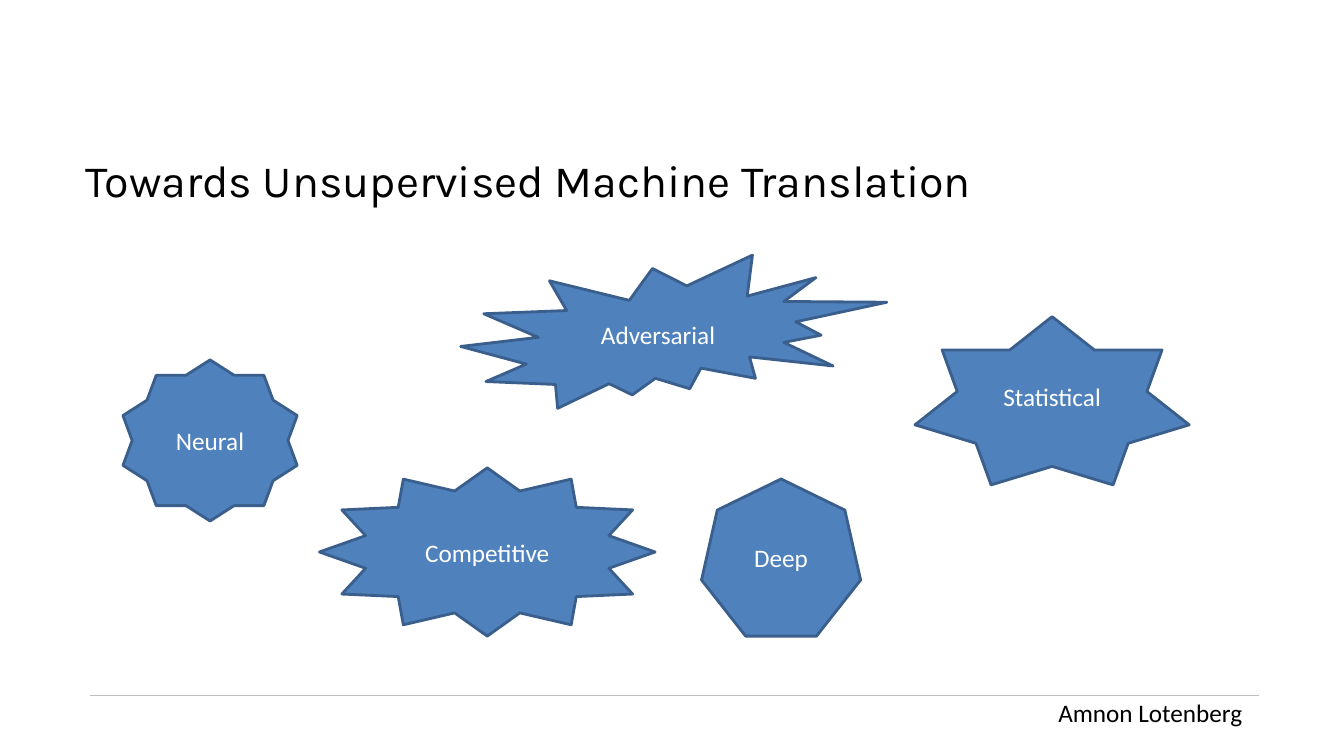
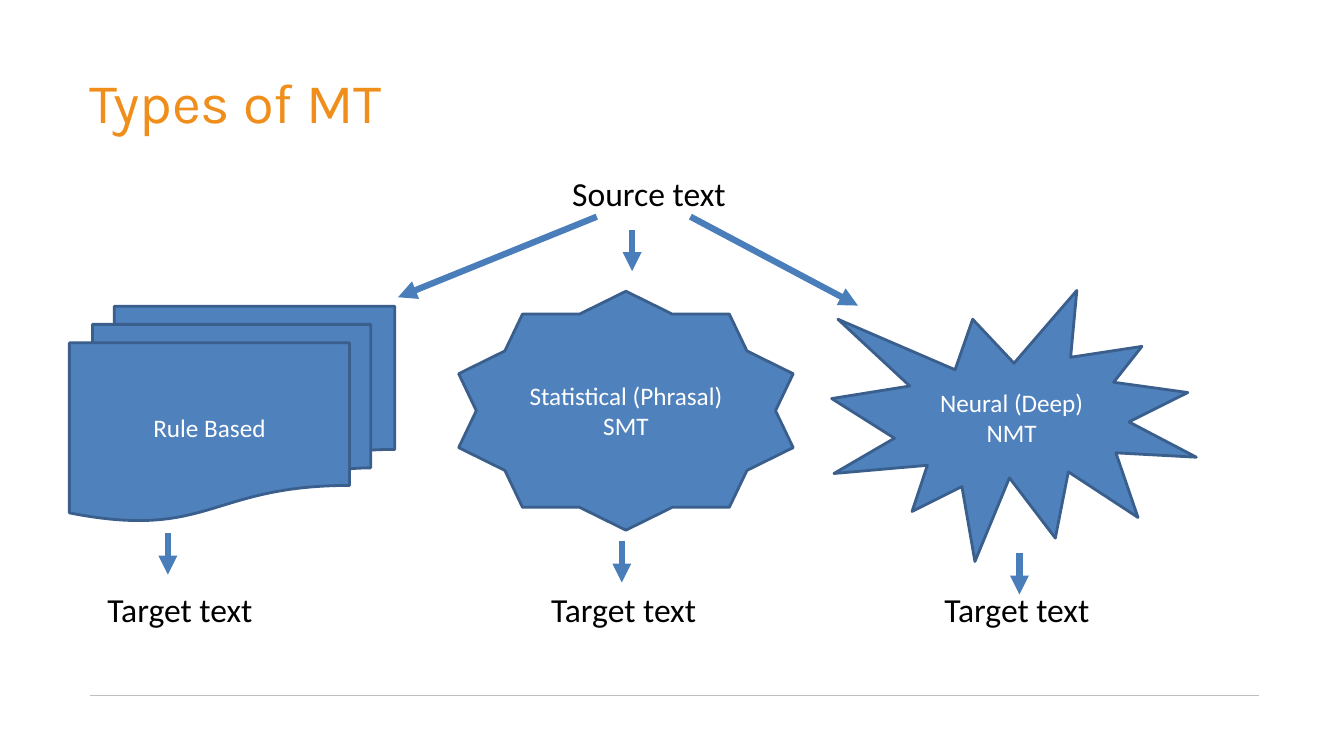
"""Build two slides on unsupervised machine translation."""
from dataclasses import dataclass

from lxml import etree
from pptx import Presentation
from pptx.dml.color import RGBColor
from pptx.enum.shapes import MSO_CONNECTOR, MSO_SHAPE
from pptx.enum.text import MSO_ANCHOR, PP_ALIGN
from pptx.oxml.ns import qn
from pptx.slide import Slide
from pptx.text.text import TextFrame
from pptx.util import Cm, Pt

STRAIGHT = MSO_CONNECTOR.STRAIGHT
TOP, MIDDLE, BOTTOM = MSO_ANCHOR.TOP, MSO_ANCHOR.MIDDLE, MSO_ANCHOR.BOTTOM
LEFT, CENTER = PP_ALIGN.LEFT, PP_ALIGN.CENTER
HEPTAGON = MSO_SHAPE.HEPTAGON
STAR_7 = MSO_SHAPE.STAR_7_POINT
STAR_10 = MSO_SHAPE.STAR_10_POINT
STAR_12 = MSO_SHAPE.STAR_12_POINT
BURST_1, BURST_2 = MSO_SHAPE.EXPLOSION1, MSO_SHAPE.EXPLOSION2
PAPERS = MSO_SHAPE.FLOWCHART_MULTIDOCUMENT


@dataclass(frozen=True)
class Style:
    font: str
    size: float
    color: str


@dataclass(frozen=True)
class Theme:
    cover: Style = Style("Karla", 32, "000000")
    title: Style = Style("Karla", 40, "F08E1B")
    label: Style = Style("Calibri", 18, "FFFFFF")
    name: Style = Style("Calibri", 18, "000000")
    flow: Style = Style("Calibri", 24, "000000")
    fill: str = "4F81BD"
    edge: str = "3A5F8C"
    edge_width: float = 2
    arrow: str = "4A7EBB"
    arrow_width: float = 4.5
    rule: str = "BFBFBF"
    rule_width: float = 0.75


THEME = Theme()


@dataclass(frozen=True)
class Box:
    left: float
    top: float
    width: float
    height: float

    def lengths(self) -> tuple[Cm, Cm, Cm, Cm]:
        return Cm(self.left), Cm(self.top), Cm(self.width), Cm(self.height)


@dataclass(frozen=True)
class Badge:
    kind: MSO_SHAPE
    box: Box
    lines: tuple[str, ...]


@dataclass(frozen=True)
class Line:
    x1: float
    y1: float
    x2: float
    y2: float


BUZZ = (
    Badge(HEPTAGON, Box(17.68, 12.07, 4.01, 3.96), ("Deep",)),
    Badge(BURST_2, Box(11.61, 6.43, 10.74, 3.86), ("Adversarial",)),
    Badge(STAR_7, Box(23.06, 7.98, 6.91, 4.24), ("Statistical",)),
    Badge(STAR_10, Box(3.1, 9.07, 4.39, 4.06), ("Neural",)),
    Badge(STAR_12, Box(8.05, 11.79, 8.46, 4.24), ("Competitive",)),
)
TYPES = (
    Badge(PAPERS, Box(1.75, 7.72, 8.2, 5.41), ("Rule Based",)),
    Badge(STAR_10, Box(11.56, 7.34, 8.43, 6.02), ("Statistical (Phrasal)", "SMT")),
    Badge(BURST_1, Box(20.96, 7.32, 9.19, 6.83), ("Neural (Deep)", "NMT")),
)
DROP = 1.04
DROPS = ((15.93, 5.79), (4.23, 13.44), (15.67, 13.64), (25.69, 13.94))
ARROWS = (
    Line(15.04, 5.46, 10.03, 7.49),
    Line(17.4, 5.46, 21.62, 7.7),
    *(Line(x, y, x, y + DROP) for x, y in DROPS),
)
TARGETS = (2.46, 13.64, 23.55)


def write(frame: TextFrame, lines: tuple[str, ...], style: Style, align: PP_ALIGN) -> None:
    frame.word_wrap = True
    for index, line in enumerate(lines):
        para = frame.paragraphs[0] if index == 0 else frame.add_paragraph()
        para.alignment = align
        run = para.add_run()
        run.text = line
        run.font.name = style.font
        run.font.size = Pt(style.size)
        run.font.color.rgb = RGBColor.from_string(style.color)


def add_text(slide: Slide, box: Box, text: str, style: Style) -> TextFrame:
    frame = slide.shapes.add_textbox(*box.lengths()).text_frame
    frame.vertical_anchor = TOP
    write(frame, (text,), style, LEFT)
    return frame


def add_badge(slide: Slide, badge: Badge) -> None:
    shape = slide.shapes.add_shape(badge.kind, *badge.box.lengths())
    shape.shadow.inherit = False
    shape.fill.solid()
    shape.fill.fore_color.rgb = RGBColor.from_string(THEME.fill)
    shape.line.color.rgb = RGBColor.from_string(THEME.edge)
    shape.line.width = Pt(THEME.edge_width)
    shape.text_frame.vertical_anchor = MIDDLE
    write(shape.text_frame, badge.lines, THEME.label, CENTER)


def add_line(slide: Slide, line: Line, color: str, width: float, head: bool = False) -> None:
    ends = (Cm(line.x1), Cm(line.y1), Cm(line.x2), Cm(line.y2))
    link = slide.shapes.add_connector(STRAIGHT, *ends)
    link.line.color.rgb = RGBColor.from_string(color)
    link.line.width = Pt(width)
    props = link._element.spPr
    if head:
        etree.SubElement(props.find(qn("a:ln")), qn("a:tailEnd"), type="triangle")
    etree.SubElement(props, qn("a:effectLst"))


def add_page(deck: Presentation, title: str, box: Box, style: Style) -> tuple[Slide, TextFrame]:
    slide = deck.slides.add_slide(deck.slide_layouts[6])
    add_line(slide, Line(2.26, 17.53, 31.72, 17.53), THEME.rule, THEME.rule_width)
    frame = add_text(slide, box, title, style)
    frame.margin_left = 0
    return slide, frame


def add_cover(deck: Presentation) -> None:
    title = "Towards Unsupervised Machine Translation"
    slide, _ = add_page(deck, title, Box(2.16, 3.73, 27.36, 3.02), THEME.cover)
    for badge in BUZZ:
        add_badge(slide, badge)
    add_text(slide, Box(26.42, 17.45, 7.4, 1.02), "Amnon Lotenberg", THEME.name)


def add_types(deck: Presentation) -> None:
    slide, frame = add_page(deck, "Types of MT", Box(2.26, 1.52, 29.59, 2.01), THEME.title)
    frame.margin_top = 0
    frame.vertical_anchor = BOTTOM
    add_text(slide, Box(14.17, 4.24, 6.07, 1.27), "Source text", THEME.flow)
    for badge in TYPES:
        add_badge(slide, badge)
    for left in TARGETS:
        add_text(slide, Box(left, 14.71, 7.62, 1.27), "Target text", THEME.flow)
    for arrow in ARROWS:
        add_line(slide, arrow, THEME.arrow, THEME.arrow_width, head=True)


def main() -> None:
    deck = Presentation()
    deck.slide_width, deck.slide_height = Cm(33.87), Cm(19.05)
    add_cover(deck)
    add_types(deck)
    deck.save("out.pptx")


if __name__ == "__main__":
    main()
